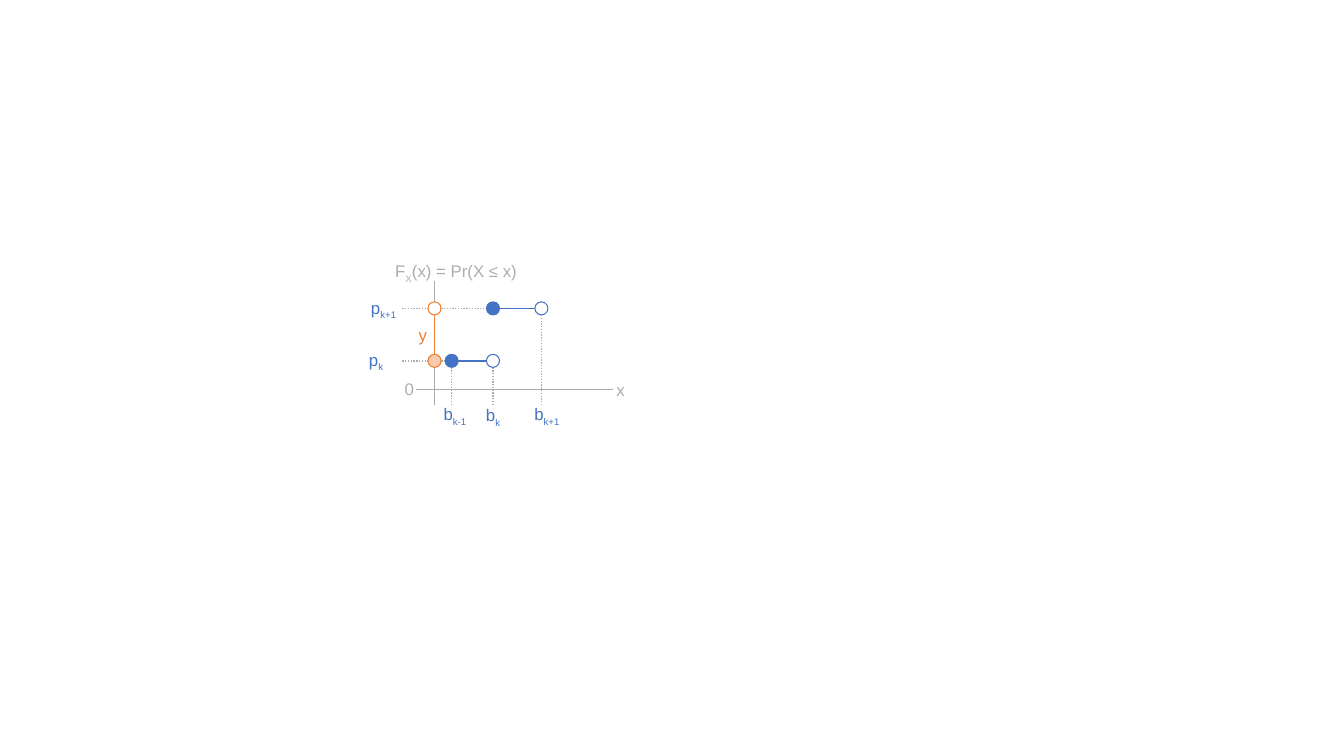
from lxml import etree
from pptx import Presentation
from pptx.dml.color import RGBColor
from pptx.enum.dml import MSO_LINE
from pptx.enum.shapes import MSO_CONNECTOR, MSO_SHAPE
from pptx.enum.text import PP_ALIGN
from pptx.oxml.ns import qn
from pptx.util import Inches, Pt

STRAIGHT, OVAL = MSO_CONNECTOR.STRAIGHT, MSO_SHAPE.OVAL
DOTTED = MSO_LINE.ROUND_DOT
LEFT, CENTER = PP_ALIGN.LEFT, PP_ALIGN.CENTER

COLORS = {"gray": "AFABAB", "blue": "4472C4", "orange": "ED7D31",
          "peach": "F8CBAD", "white": "FFFFFF"}
X = {"axis": 4.31, "k-1": 4.48, "k": 4.89, "k+1": 5.37}
Y = {"k": 3.58, "k+1": 3.06, "zero": 3.865, "foot": 4.02}
TICK_LEFT, R, TEXT_H = 3.99, 0.065, 0.2

STEPS = [("k", "k-1", "k"), ("k+1", "k", "k+1")]
JUMP_ENDS = [("k+1", "white"), ("k", "peach")]
LABELS = [
    (3.92, 2.59, 1.46, "gray", LEFT, ["F", "X", "(x) = Pr(X ≤ x)"]),
    (6.06, 3.77, 0.19, "gray", CENTER, ["x"]),
    (4.06, 3.22, 0.27, "orange", CENTER, ["y"]),
    (3.99, 3.76, 0.14, "gray", CENTER, ["0"]),
    (3.68, 2.95, 0.34, "blue", LEFT, ["p", "k+1"]),
    (3.66, 3.47, 0.34, "blue", LEFT, ["p", "k"]),
    (4.40, 4.01, 0.34, "blue", LEFT, ["b", "k-1"]),
    (4.82, 4.02, 0.34, "blue", LEFT, ["b", "k"]),
    (5.30, 4.01, 0.34, "blue", LEFT, ["b", "k+1"]),
]

prs = Presentation()
prs.slide_width, prs.slide_height = Inches(13.33), Inches(7.5)
s = prs.slides.add_slide(prs.slide_layouts[6])


def rgb(name):
    return RGBColor.from_string(COLORS[name])


def add_line(x1, y1, x2, y2, color="gray", width=1, dash=None):
    ends = [Inches(v) for v in (x1, y1, x2, y2)]
    line = s.shapes.add_connector(STRAIGHT, *ends)
    line.line.color.rgb = rgb(color)
    line.line.width = Pt(width)
    if dash:
        line.line.dash_style = dash
    etree.SubElement(line._element.spPr, qn("a:effectLst"))


def add_dot(x, y, fill, color):
    sp = s.shapes.add_shape(OVAL, Inches(x - R), Inches(y - R),
                            Inches(2 * R), Inches(2 * R))
    sp.shadow.inherit = False
    sp.fill.solid()
    sp.fill.fore_color.rgb = rgb(fill)
    sp.line.color.rgb = rgb(color)
    sp.line.width = Pt(0.75)


def add_label(x, y, width, color, align, parts):
    box = s.shapes.add_textbox(Inches(x), Inches(y), Inches(width), Inches(TEXT_H))
    tf = box.text_frame
    tf.word_wrap = True
    tf.margin_left = tf.margin_right = tf.margin_top = tf.margin_bottom = 0
    p = tf.paragraphs[0]
    p.alignment = align
    p.font.name, p.font.size = "Arial", Pt(12)
    p.font.color.rgb = rgb(color)
    for i, part in enumerate(parts):
        r = p.add_run()
        r.text = part
        if i == 1:
            r.font._element.set("baseline", "-25000")


for level, start, end in STEPS:
    add_line(TICK_LEFT, Y[level], X[start] - R, Y[level], dash=DOTTED)
    add_line(X[end], Y[level] + R, X[end], Y["foot"], dash=DOTTED)
add_line(X["k-1"], Y["k"] + R, X["k-1"], Y["foot"], dash=DOTTED)
add_line(X["axis"], 2.79, X["axis"], Y["foot"], width=0.75)
add_line(4.13, Y["zero"], 6.08, Y["zero"], width=0.75)

for level, start, end in STEPS:
    add_line(X[start] + R, Y[level], X[end] - R, Y[level], "blue")
    add_dot(X[start], Y[level], "blue", "blue")
    add_dot(X[end], Y[level], "white", "blue")

add_line(X["axis"], Y["k+1"] + R, X["axis"], Y["k"] - R, "orange")
for level, fill in JUMP_ENDS:
    add_dot(X["axis"], Y[level], fill, "orange")

for label in LABELS:
    add_label(*label)

prs.save("out.pptx")
